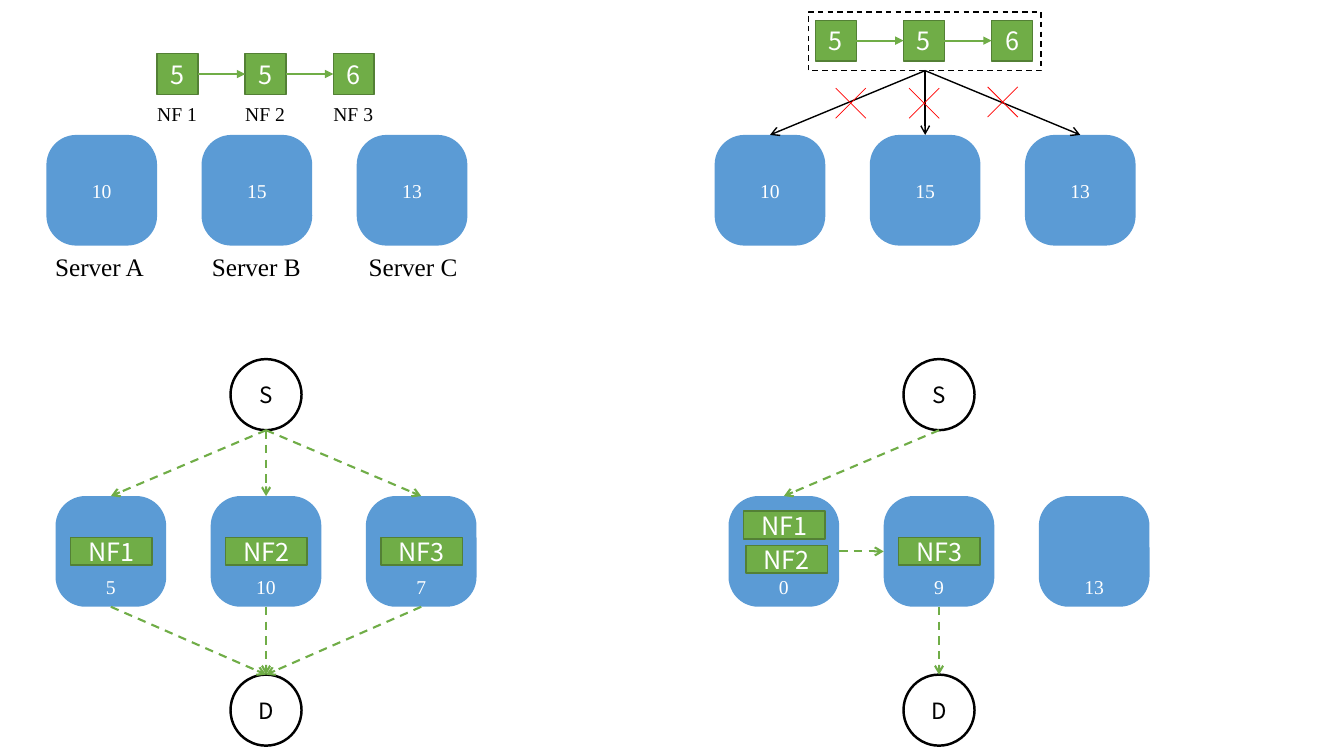
"""Build a slide on placing a chain of network functions on three servers."""
from dataclasses import dataclass

import lxml.etree
import pptx
import pptx.dml.color
import pptx.enum.dml
import pptx.enum.shapes
import pptx.enum.text
import pptx.oxml.ns
import pptx.shapes.autoshape
import pptx.slide
import pptx.util

Cm = pptx.util.Cm
SHAPES = pptx.enum.shapes.MSO_SHAPE
ANCHOR = pptx.enum.text.MSO_ANCHOR
DASH = pptx.enum.dml.MSO_LINE.DASH
COLORS = {"server": "5B9BD5", "function": "70AD47", "border": "538035",
          "ink": "000000", "white": "FFFFFF", "cross": "FF0000"}
SERIF = "Times New Roman"
SANS = "Noto Sans CJK SC"
SERVER_SIZE, SERVER_STEP = 2.79, 3.91
TOP_Y, BOTTOM_Y = 3.4, 12.5
CHAIN_SIZE, CHAIN_STEP = 1.03, 2.22
NODE_SIZE, SOURCE_Y, SINK_Y = 1.79, 9.05, 17.0


@dataclass(frozen=True)
class Style:
    fill: str | None
    line: str | None
    width: float
    font: str
    size: int
    ink: str
    dashed: bool = False


@dataclass(frozen=True)
class ServerRow:
    left: float
    top: float
    capacities: tuple[str, str, str]
    anchor: ANCHOR

    def center(self, index: int) -> float:
        return self.left + index * SERVER_STEP + SERVER_SIZE / 2


@dataclass(frozen=True)
class Tag:
    text: str
    left: float
    top: float


@dataclass(frozen=True)
class Arrow:
    start: tuple[float, float]
    end: tuple[float, float]


SERVER = Style("server", None, 0, SERIF, 14, "white")
FUNCTION = Style("function", "border", 1, SANS, 18, "white")
NODE = Style(None, "ink", 1.75, SANS, 16, "ink")
FRAME = Style(None, "ink", 1, SANS, 18, "ink", True)


def color(name: str) -> pptx.dml.color.RGBColor:
    return pptx.dml.color.RGBColor.from_string(COLORS[name])


def format_text(frame: pptx.text.text.TextFrame, text: str, font: str, size: int, ink: str) -> None:
    frame.text = text
    for run in frame.paragraphs[0].runs:
        run.font.name = font
        run.font.size = pptx.util.Pt(size)
        run.font.color.rgb = color(ink)


def draw_box(page: pptx.slide.Slide, kind: SHAPES, left: float, top: float, width: float,
             height: float, style: Style, text: str = "",
             anchor: ANCHOR = ANCHOR.MIDDLE) -> pptx.shapes.autoshape.Shape:
    box = page.shapes.add_shape(kind, Cm(left), Cm(top), Cm(width), Cm(height))
    box.shadow.inherit = False
    if style.fill:
        box.fill.solid()
        box.fill.fore_color.rgb = color(style.fill)
    else:
        box.fill.background()
    if style.line:
        box.line.color.rgb = color(style.line)
        box.line.width = pptx.util.Pt(style.width)
    else:
        box.line.fill.background()
    if style.dashed:
        box.line.dash_style = DASH
    if text:
        frame = box.text_frame
        frame.margin_left = frame.margin_right = frame.margin_top = frame.margin_bottom = 0
        frame.vertical_anchor = anchor
        format_text(frame, text, style.font, style.size, style.ink)
        frame.paragraphs[0].alignment = pptx.enum.text.PP_ALIGN.CENTER
    return box


def draw_label(page: pptx.slide.Slide, text: str, left: float, top: float,
               width: float, height: float, size: int) -> None:
    label = page.shapes.add_textbox(Cm(left), Cm(top), Cm(width), Cm(height))
    format_text(label.text_frame, text, SERIF, size, "ink")


def draw_line(page: pptx.slide.Slide, arrow: Arrow, ink: str, width: float,
              dashed: bool = False, head: str = "") -> None:
    points = [Cm(value) for value in (*arrow.start, *arrow.end)]
    line = page.shapes.add_connector(pptx.enum.shapes.MSO_CONNECTOR.STRAIGHT, *points)
    line.line.color.rgb = color(ink)
    line.line.width = pptx.util.Pt(width)
    if dashed:
        line.line.dash_style = DASH
    qn = pptx.oxml.ns.qn
    if head:
        lxml.etree.SubElement(line.line._get_or_add_ln(), qn("a:tailEnd"), type=head)
    lxml.etree.SubElement(line._element.spPr, qn("a:effectLst"))


def draw_servers(page: pptx.slide.Slide, row: ServerRow) -> None:
    for index, capacity in enumerate(row.capacities):
        server = draw_box(page, SHAPES.ROUNDED_RECTANGLE, row.left + index * SERVER_STEP, row.top,
                          SERVER_SIZE, SERVER_SIZE, SERVER, capacity, row.anchor)
        server.adjustments[0] = 0.27


def draw_chain(page: pptx.slide.Slide, left: float, top: float) -> None:
    middle = top + CHAIN_SIZE / 2
    for index, demand in enumerate(("5", "5", "6")):
        x = left + index * CHAIN_STEP
        draw_box(page, SHAPES.RECTANGLE, x, top, CHAIN_SIZE, CHAIN_SIZE, FUNCTION, demand)
        if index:
            link = Arrow((x - CHAIN_STEP + CHAIN_SIZE, middle), (x, middle))
            draw_line(page, link, "function", 1.5, head="triangle")


def draw_cross(page: pptx.slide.Slide, x: float, y: float, half: float = 0.38) -> None:
    for rise in (-half, half):
        draw_line(page, Arrow((x - half, y + rise), (x + half, y - rise)), "cross", 0.5)


def main() -> None:
    deck = pptx.Presentation()
    deck.slide_width, deck.slide_height = Cm(33.87), Cm(19.05)
    page = deck.slides.add_slide(deck.slide_layouts[6])

    start = ServerRow(1.17, TOP_Y, ("10", "15", "13"), ANCHOR.MIDDLE)
    blocked = ServerRow(18.01, TOP_Y, ("10", "15", "13"), ANCHOR.MIDDLE)
    spread = ServerRow(1.4, BOTTOM_Y, ("5", "10", "7"), ANCHOR.BOTTOM)
    packed = ServerRow(18.36, BOTTOM_Y, ("0", "9", "13"), ANCHOR.BOTTOM)
    for row in (start, blocked, spread, packed):
        draw_servers(page, row)

    tags = [Tag(f"NF{index + 1}", spread.left + 0.38 + index * SERVER_STEP, 13.54)
            for index in range(3)]
    tags += [Tag("NF1", 18.74, 12.88), Tag("NF2", 18.8, 13.74), Tag("NF3", 22.65, 13.54)]
    for tag in tags:
        draw_box(page, SHAPES.RECTANGLE, tag.left, tag.top, 2.05, 0.7, FUNCTION, tag.text)

    for row in (spread, packed):
        for name, top in (("S", SOURCE_Y), ("D", SINK_Y)):
            draw_box(page, SHAPES.OVAL, row.center(1) - NODE_SIZE / 2, top,
                     NODE_SIZE, NODE_SIZE, NODE, name)

    source_bottom, server_bottom = SOURCE_Y + NODE_SIZE, BOTTOM_Y + SERVER_SIZE
    routes = []
    for index in range(3):
        x = spread.center(index)
        routes.append(Arrow((spread.center(1), source_bottom), (x, BOTTOM_Y)))
        routes.append(Arrow((x, server_bottom), (spread.center(1), SINK_Y)))
    middle = BOTTOM_Y + SERVER_SIZE / 2
    routes += [
        Arrow((packed.center(1), source_bottom), (packed.center(0), BOTTOM_Y)),
        Arrow((packed.left + SERVER_SIZE, middle), (packed.left + SERVER_STEP, middle)),
        Arrow((packed.center(1), server_bottom), (packed.center(1), SINK_Y)),
    ]
    for route in routes:
        draw_line(page, route, "function", 1.5, dashed=True, head="arrow")

    draw_box(page, SHAPES.RECTANGLE, 20.37, 0.3, 5.87, 1.48, FRAME)
    draw_chain(page, 20.55, 0.51)
    for index in range(3):
        attempt = Arrow((blocked.center(1), 1.78), (blocked.center(index), TOP_Y))
        draw_line(page, attempt, "ink", 1, head="arrow")
    for x, y in ((21.44, 2.6), (23.29, 2.6), (25.27, 2.57)):
        draw_cross(page, x, y)

    draw_chain(page, 3.96, 1.35)
    for index, server_name in enumerate("ABC"):
        draw_label(page, f"NF {index + 1}", 3.71 + index * CHAIN_STEP, 2.44, 1.52, 0.86, 14)
        draw_label(page, f"Server {server_name}", 1.14 + index * 3.95, 6.2, 2.84, 1.02, 18)
    deck.save("out.pptx")


if __name__ == "__main__":
    main()
